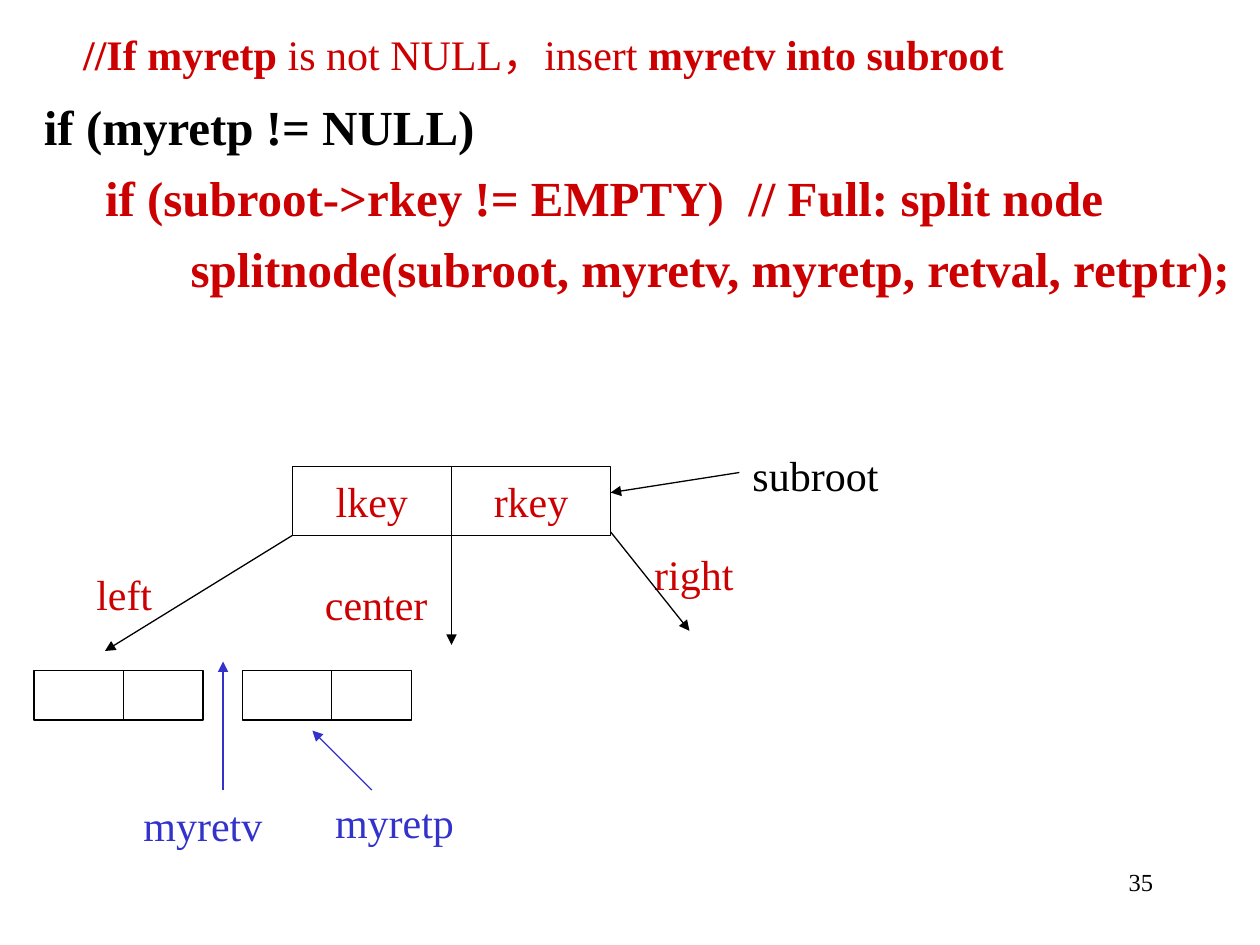
"""Build the slide on inserting into a full 2-3 tree node."""
from lxml.etree import SubElement
from pptx import Presentation
from pptx.dml.color import RGBColor
from pptx.enum.shapes import MSO_CONNECTOR as Line, MSO_SHAPE as Shape
from pptx.enum.text import MSO_ANCHOR as Anchor, PP_ALIGN as Align
from pptx.oxml.ns import qn
from pptx.util import Pt

BLACK, RED, BLUE = "000000", "CC0000", "3333CC"


def rgb(value):
    return RGBColor.from_string(value)


def write(para, text, size=24, color=BLACK, bold=False, align=Align.CENTER):
    para.alignment = align
    span = para.add_run()
    span.text = text
    span.font.name = "Times New Roman"
    span.font.size = Pt(size)
    span.font.bold = bold
    span.font.color.rgb = rgb(color)


deck = Presentation()
deck.slide_width, deck.slide_height = Pt(720), Pt(540)
page = deck.slides.add_slide(deck.slide_layouts[6])

number = page.shapes.add_textbox(Pt(516), Pt(492), Pt(150), Pt(36))
number.text_frame.word_wrap = True
write(number.text_frame.paragraphs[0], "35", size=14, align=Align.RIGHT)

code = page.shapes.add_textbox(Pt(18), Pt(51.5), Pt(702), Pt(196)).text_frame
code.word_wrap = True
code_lines = [
    ("if (myretp != NULL)", BLACK),
    ("     if (subroot->rkey != EMPTY)  // Full: split node", RED),
    ("            splitnode(subroot, myretv, myretp, retval, retptr);", RED),
]
for index, (text, color) in enumerate(code_lines):
    para = code.add_paragraph() if index else code.paragraphs[0]
    if index:
        para.space_before = Pt(7)
    write(para, text, size=28, color=color, bold=True, align=Align.LEFT)

comment = page.shapes.add_textbox(Pt(34), Pt(13), Pt(553), Pt(36)).text_frame
comment.word_wrap = False
for text, bold in [("//If myretp", True), (" is not NULL，insert ", False),
                   ("myretv into subroot", True)]:
    write(comment.paragraphs[0], text, color=RED, bold=bold)

labels = [
    ("left", 41, 321.5, 60, RED),
    ("center", 175, 327, 80, RED),
    ("right", 361.5, 310, 70, RED),
    ("subroot", 416, 253.5, 100, BLACK),
    ("myretv", 66, 453.5, 100, BLUE),
    ("myretp", 175.5, 451.5, 100, BLUE),
]
for text, left, top, width, color in labels:
    label = page.shapes.add_textbox(Pt(left), Pt(top), Pt(width), Pt(36)).text_frame
    label.word_wrap = False
    write(label.paragraphs[0], text, color=color)

nodes = [
    (167, 266.5, 39.5, [("lkey", 91), ("rkey", 91)]),
    (19.5, 383, 28.5, [("", 51), ("", 45.5)]),
    (138.5, 383, 28.5, [("", 51), ("", 45.5)]),
]
for left, top, height, cells in nodes:
    node = page.shapes.add_group_shape()
    for text, width in cells:
        cell = node.shapes.add_shape(Shape.RECTANGLE, Pt(left), Pt(top), Pt(width), Pt(height))
        cell.shadow.inherit = False
        cell.fill.background()
        cell.line.color.rgb = rgb(BLACK)
        cell.line.width = Pt(0.75)
        cell.text_frame.word_wrap = False
        cell.text_frame.vertical_anchor = Anchor.MIDDLE
        if text:
            write(cell.text_frame.paragraphs[0], text, color=RED)
        left += width

arrows = [
    (167, 306, 60, 372, BLACK),
    (258, 306, 258, 368.5, BLACK),
    (422.5, 270, 349, 281.5, BLACK),
    (349, 304, 394, 360.5, BLACK),
    (127.5, 451.5, 127.5, 378, BLUE),
    (212.5, 451.5, 178.5, 417.5, BLUE),
]
for *ends, color in arrows:
    arrow = page.shapes.add_connector(Line.STRAIGHT, *map(Pt, ends))
    arrow.line.color.rgb = rgb(color)
    arrow.line.width = Pt(0.75)
    SubElement(arrow.line._get_or_add_ln(), qn("a:tailEnd"), type="triangle")
    SubElement(arrow._element.spPr, qn("a:effectLst"))

deck.save("out.pptx")
